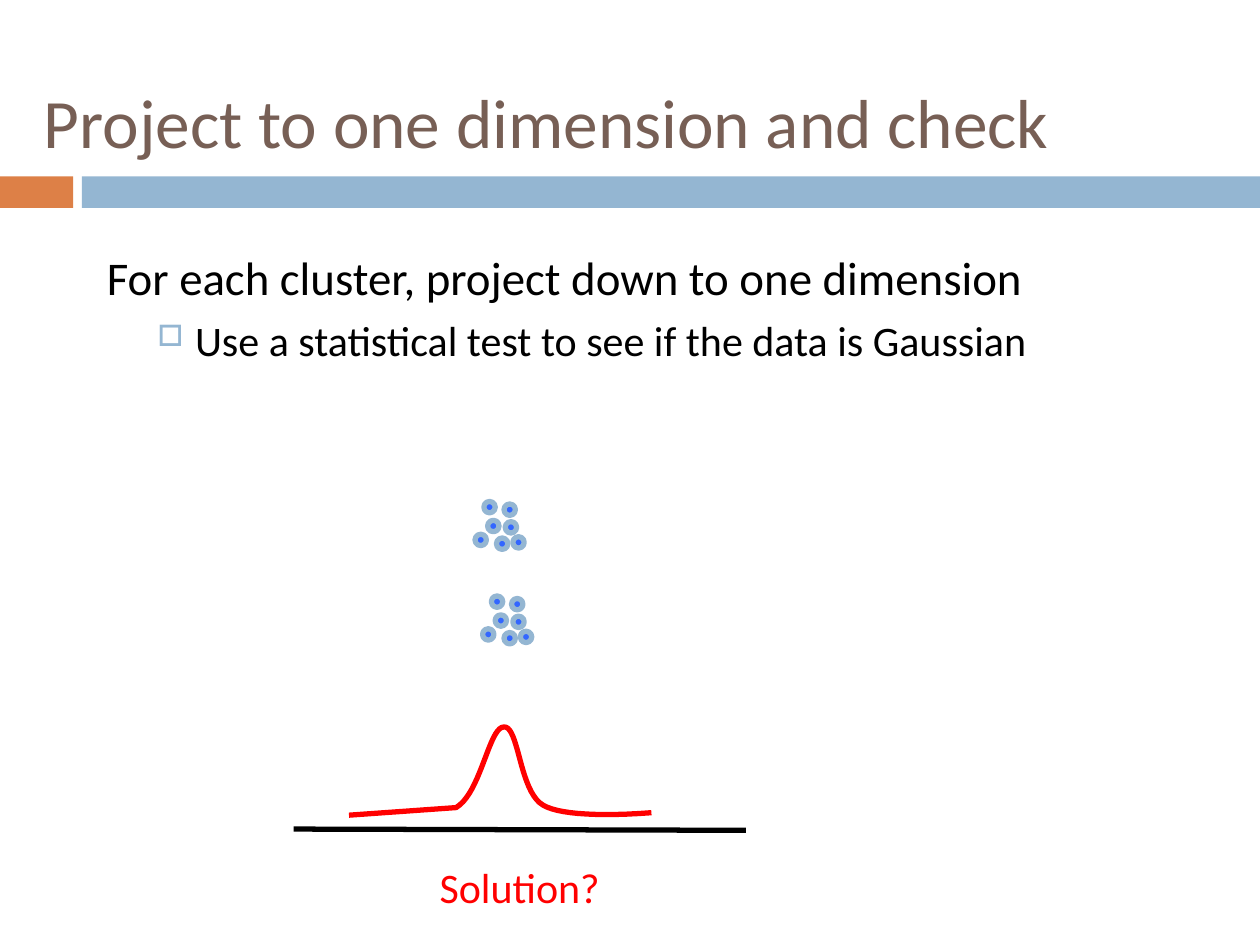
from lxml import etree
from pptx import Presentation
from pptx.dml.color import RGBColor
from pptx.enum.shapes import MSO_CONNECTOR, MSO_SHAPE
from pptx.enum.text import MSO_ANCHOR
from pptx.oxml.ns import qn
from pptx.util import Inches, Pt

RECT, OVAL = MSO_SHAPE.RECTANGLE, MSO_SHAPE.OVAL
STRAIGHT = MSO_CONNECTOR.STRAIGHT
TOP, MIDDLE = MSO_ANCHOR.TOP, MSO_ANCHOR.MIDDLE

# Content
TITLE = "Project to one dimension and check"
LEAD = "For each cluster, project down to one dimension"
POINT = "Use a statistical test to see if the data is Gaussian"
ASK = "Solution?"
BANDS = [((0, 1.4, 0.58, 0.25), "orange"), ((0.65, 1.4, 9.35, 0.25), "blue")]
DOTS = [(3.84, 3.98), (4, 4), (4.01, 4.14), (3.87, 4.13),
        (3.77, 4.24), (3.94, 4.27), (4.07, 4.26)]
SHIFTS = [(0, 0), (0.06, 0.75)]  # upper and lower cluster
DOT = 0.09
AXIS = (2.33, 6.58, 5.92, 6.59)
START = (2.77, 6.47)
CURVE = [(3.62, 6.41),  # then two controls and an end for each curve
         (3.82, 6.29), (3.88, 5.77), (4, 5.77),
         (4.12, 5.76), (4.12, 6.28), (4.31, 6.39),
         (4.51, 6.51), (5.17, 6.45), (5.17, 6.45)]
STEPS = 20

THEME = {
    "font": "Calibri", "stroke": 3,
    "color": {"orange": "DD8047", "blue": "94B6D2", "brown": "775F55",
              "dot": "3366FF", "black": "000000", "red": "FF0000"},
    "size": {"title": 39.6, "lead": 26.8, "point": 24, "ask": 24},
}


def color(name):
    return RGBColor.from_string(THEME["color"][name])


def stroke(item, name):
    item.line.color.rgb = color(name)
    item.line.width = Pt(THEME["stroke"])


def add_shape(slide, kind, box, fill):
    item = slide.shapes.add_shape(kind, *map(Inches, box))
    item.shadow.inherit = False
    item.fill.solid()
    item.fill.fore_color.rgb = color(fill)
    item.line.fill.background()
    return item


def add_box(slide, box, anchor=TOP):
    frame = slide.shapes.add_textbox(*map(Inches, box)).text_frame
    frame.word_wrap = True
    frame.vertical_anchor = anchor
    return frame


def write(para, text, size, ink):
    para.text = text
    font = para.runs[0].font
    look = {"name": THEME["font"], "size": Pt(THEME["size"][size])}
    for key, value in look.items():
        setattr(font, key, value)
    font.color.rgb = color(ink)


def add_bullet(para):
    props = para._p.get_or_add_pPr()
    props.set("marL", str(Inches(0.7)))
    props.set("indent", str(Inches(-0.3)))
    tint = etree.SubElement(props, qn("a:buClr"))
    etree.SubElement(tint, qn("a:srgbClr"), val=THEME["color"]["blue"])
    etree.SubElement(props, qn("a:buSzPct"), val="70000")
    etree.SubElement(props, qn("a:buChar"), char="□")


def trace(start, ends):
    """Straight lead-in, then points along each cubic curve."""
    points = [start, ends[0]]
    for i in range(1, len(ends), 3):
        a, (b, c, d) = points[-1], ends[i:i + 3]
        for step in range(1, STEPS + 1):
            t = step / STEPS
            u = 1 - t
            points.append(tuple(
                u**3 * a[k] + 3 * u * u * t * b[k] + 3 * u * t * t * c[k] + t**3 * d[k]
                for k in (0, 1)))
    return points


def main():
    deck = Presentation()
    deck.slide_width, deck.slide_height = Inches(10), Inches(7.5)
    slide = deck.slides.add_slide(deck.slide_layouts[6])

    # Title and bands
    for box, fill in BANDS:
        add_shape(slide, RECT, box, fill)
    frame = add_box(slide, (0.25, 0.42, 9.17, 1.08), MIDDLE)
    write(frame.paragraphs[0], TITLE, "title", "brown")

    # Body
    frame = add_box(slide, (0.75, 1.92, 8.5, 1.08))
    write(frame.paragraphs[0], LEAD, "lead", "black")
    para = frame.add_paragraph()
    para.level = 1
    add_bullet(para)
    write(para, POINT, "point", "black")
    para.space_before = Pt(5.5)

    # Clusters
    for dx, dy in SHIFTS:
        for x, y in DOTS:
            stroke(add_shape(slide, OVAL, (x + dx, y + dy, DOT, DOT), "dot"), "blue")

    # Axis and label
    axis = slide.shapes.add_connector(STRAIGHT, *map(Inches, AXIS))
    etree.SubElement(axis._element.spPr, qn("a:effectLst"))
    stroke(axis, "black")
    frame = add_box(slide, (3.39, 6.79, 2.04, 0.5))
    write(frame.paragraphs[0], ASK, "ask", "red")

    # Bell curve
    points = [(Inches(x), Inches(y)) for x, y in trace(START, CURVE)]
    pen = slide.shapes.build_freeform(*points[0])
    pen.add_line_segments(points[1:], close=False)
    bell = pen.convert_to_shape()
    bell.shadow.inherit = False
    bell.fill.background()
    stroke(bell, "red")

    deck.save("out.pptx")


if __name__ == "__main__":
    main()
